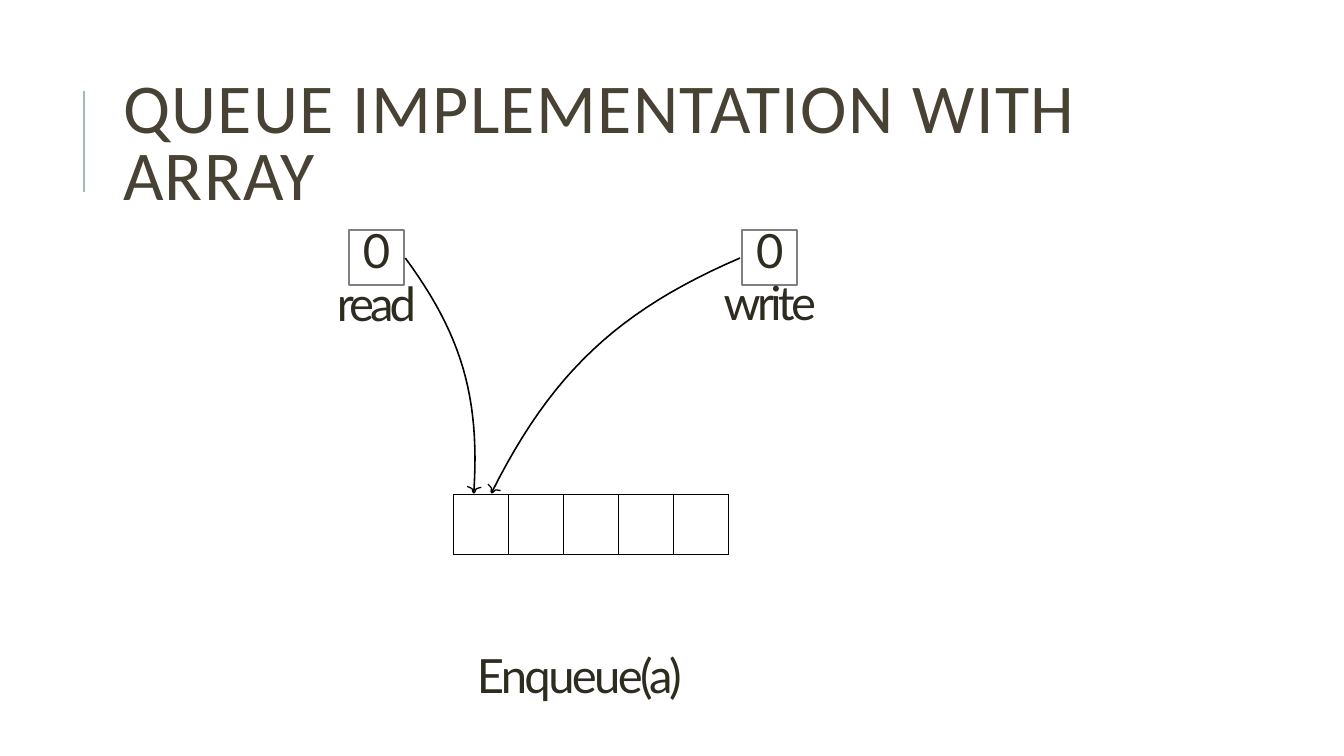
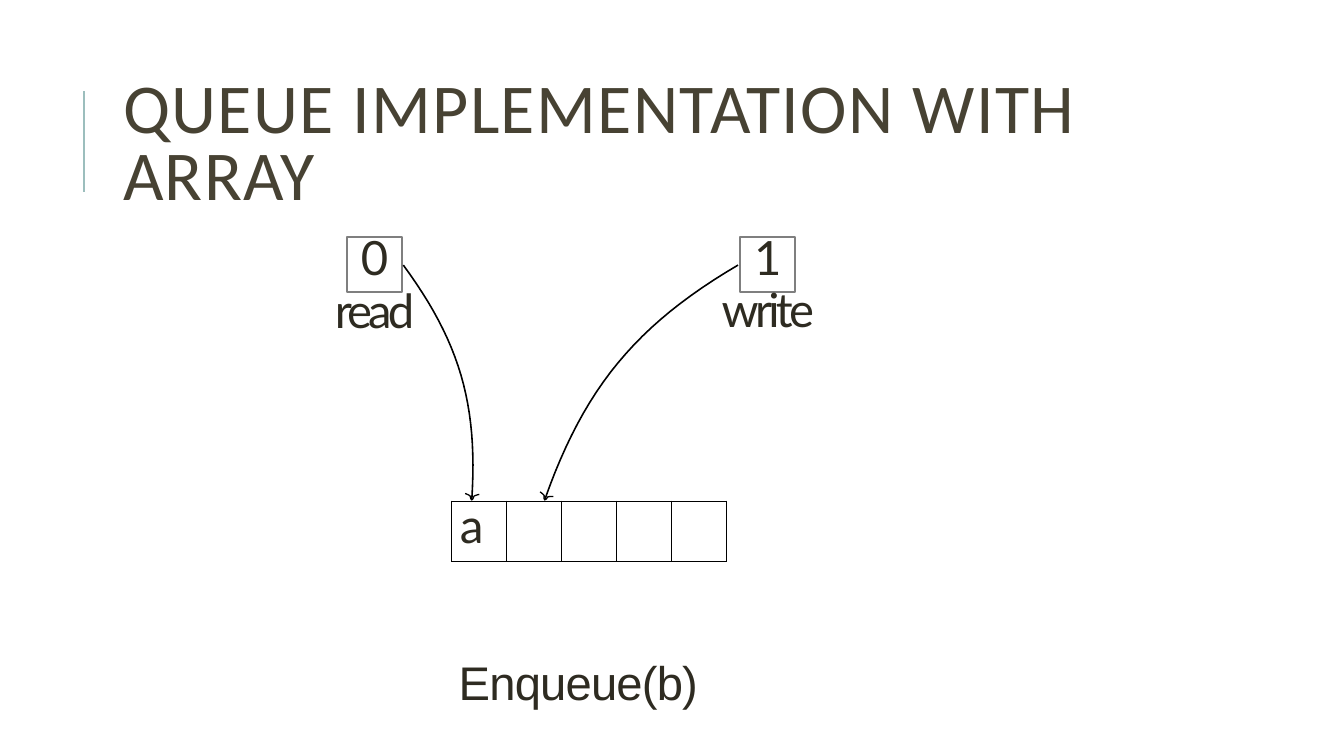
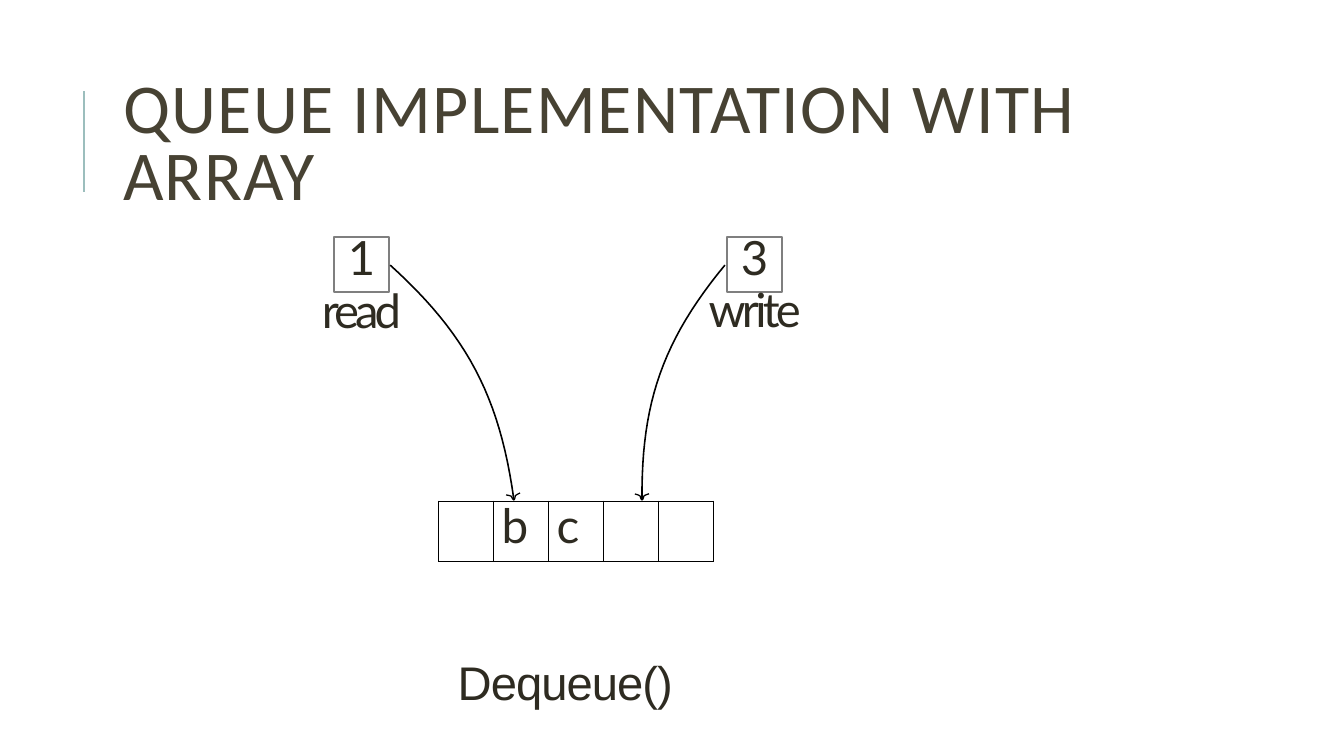
import math

import lxml.etree
import pptx
import pptx.dml.color
import pptx.enum.shapes
import pptx.enum.text
import pptx.oxml
import pptx.oxml.ns
import pptx.util

Inches = pptx.util.Inches
Pt = pptx.util.Pt

COLOURS = {
    "title": "474233",
    "text": "2E2B21",
    "accent": "9CBEBD",
    "box": "7F7F7F",
    "ink": "000000",
}
TITLE = "QUEUE IMPLEMENTATION WITH ARRAY"
BOX = 0.55
CELL_WIDTH = 0.546
CELL_COUNT = 5
BEND = math.radians(20)
CURVE_STEPS = 24
# (distance ahead of the tip, distance to the side)
ARROWHEAD = [(-0.05, 0.07), (-0.04, 0.04), (-0.03, 0.02), (0, 0.01), (0.01, 0),
             (0, -0.01), (-0.03, -0.02), (-0.04, -0.04), (-0.05, -0.07)]

# origin is the top left corner of the read box
SLIDES = [
    {"origin": (3.46, 2.28), "read": 0, "write": 0, "cells": {},
     "caption": ("Enqueue(a)", 4.7, 6.44, "Lato", 38.7, -1.9)},
    {"origin": (3.44, 2.35), "read": 0, "write": 1, "cells": {0: "a"},
     "caption": ("Enqueue(b)", 4.52, 6.53, "Arial", 37.1, -0.6)},
    {"origin": (3.31, 2.35), "read": 1, "write": 3, "cells": {1: "b", 2: "c"},
     "caption": ("Dequeue()", 4.51, 6.53, "Arial", 37.1, -0.7)},
]


def colour(name):
    return pptx.dml.color.RGBColor.from_string(COLOURS[name])


def set_attributes(target, values):
    for name, value in values.items():
        setattr(target, name, value)


def format_line(shape, colour_name, width):
    shape.line.color.rgb = colour(colour_name)
    shape.line.width = Pt(width)


def write_paragraph(paragraph, text, size, font="Lato", spacing=0, **layout):
    """Fill a paragraph; spacing is between letters, in points."""
    set_attributes(paragraph, layout)
    run = paragraph.add_run()
    run.text = text
    set_attributes(run.font, {"size": Pt(size), "name": font})
    run.font.color.rgb = colour("text")
    if spacing:
        run.font._element.set("spc", str(round(spacing * 100)))


def add_text_frame(slide, left, top, width, height, **margins):
    frame = slide.shapes.add_textbox(
        Inches(left), Inches(top), Inches(width), Inches(height)).text_frame
    values = {"word_wrap": True, "margin_left": 0, "margin_right": 0,
              "margin_top": 0, "margin_bottom": 0}
    set_attributes(frame, {**values, **margins})
    return frame


def style_layout(layout):
    """Set place and text style of the title for every slide."""
    title = layout.placeholders[0]
    set_attributes(title, {"left": Inches(1.12), "top": Inches(0.64),
                           "width": Inches(10.63), "height": Inches(1.64)})
    set_attributes(title.text_frame, {
        "word_wrap": True,
        "auto_size": pptx.enum.text.MSO_AUTO_SIZE.NONE,
        "vertical_anchor": pptx.enum.text.MSO_ANCHOR.MIDDLE})
    list_style = title.element.txBody.find(pptx.oxml.ns.qn("a:lstStyle"))
    for old_level in list(list_style):
        list_style.remove(old_level)
    list_style.append(pptx.oxml.parse_xml(
        f'<a:lvl1pPr {pptx.oxml.ns.nsdecls("a")} algn="l">'
        '<a:lnSpc><a:spcPct val="80000"/></a:lnSpc>'
        '<a:defRPr sz="5000" spc="100"><a:solidFill>'
        f'<a:srgbClr val="{COLOURS["title"]}"/></a:solidFill>'
        '<a:latin typeface="Calibri"/></a:defRPr></a:lvl1pPr>'))


def add_title_rule(slide, layout):
    """Draw the rule beside the title and move it to the layout."""
    rule = slide.shapes.add_connector(
        pptx.enum.shapes.MSO_CONNECTOR.STRAIGHT,
        Inches(0.83), Inches(1.9), Inches(0.83), Inches(0.9))
    format_line(rule, "accent", 1.5)
    lxml.etree.SubElement(rule.element.spPr, pptx.oxml.ns.qn("a:effectLst"))
    layout.shapes.element.append(rule.element)


def add_index_box(slide, left, top, value):
    box = slide.shapes.add_shape(
        pptx.enum.shapes.MSO_SHAPE.RECTANGLE,
        Inches(left), Inches(top), Inches(BOX), Inches(BOX))
    box.shadow.inherit = False
    box.fill.background()
    format_line(box, "box", 1.42)


def add_index(slide, left, top, value, label, width, line_spacing, spacing):
    """Add a box with an index and its label, centred on the box."""
    add_index_box(slide, left, top, value)
    frame = add_text_frame(slide, left + (BOX - width) / 2, top - 0.07,
                           width, 1.1, margin_top=Inches(0.03))
    layout = {"alignment": pptx.enum.text.PP_ALIGN.CENTER,
              "line_spacing": Pt(line_spacing)}
    write_paragraph(frame.paragraphs[0], str(value), 33.7, spacing=-1.7,
                    space_before=Pt(2.4), **layout)
    write_paragraph(frame.add_paragraph(), label, 33.7, spacing=spacing, **layout)


def set_borders(cell):
    properties = cell._tc.get_or_add_tcPr()
    for position, side in enumerate(("lnL", "lnR", "lnT", "lnB")):
        properties.insert(position, pptx.oxml.parse_xml(
            f'<a:{side} {pptx.oxml.ns.nsdecls("a")} w="{Pt(0.5)}"><a:solidFill>'
            f'<a:srgbClr val="{COLOURS["ink"]}"/></a:solidFill></a:{side}>'))


def add_array(slide, left, top, values):
    table = slide.shapes.add_table(
        1, CELL_COUNT, Inches(left), Inches(top),
        Inches(CELL_WIDTH * CELL_COUNT), Inches(0.6)).table
    set_attributes(table, {"first_row": False, "horz_banding": False})
    for index, cell in enumerate(table.iter_cells()):
        cell.fill.background()
        set_borders(cell)
        if index in values:
            set_attributes(cell, {"margin_left": Inches(0.08), "margin_right": 0,
                                  "margin_top": Pt(18.8), "margin_bottom": 0})
            write_paragraph(cell.text_frame.paragraphs[0], values[index], 34,
                            line_spacing=Pt(18.8))


def add_open_path(slide, points, width):
    points = [(Inches(x), Inches(y)) for x, y in points]
    builder = slide.shapes.build_freeform(*points[0])
    builder.add_line_segments(points[1:], close=False)
    path_shape = builder.convert_to_shape()
    path_shape.shadow.inherit = False
    path_shape.fill.background()
    format_line(path_shape, "ink", width)


def add_bent_arrow(slide, start, end, bend):
    """Draw a cubic curve that leaves and arrives at the angle bend to its chord."""
    chord = math.atan2(end[1] - start[1], end[0] - start[0])
    reach = 0.39 * math.dist(start, end)
    leave, arrive = chord + bend, chord - bend
    controls = (
        start,
        (start[0] + reach * math.cos(leave), start[1] + reach * math.sin(leave)),
        (end[0] - reach * math.cos(arrive), end[1] - reach * math.sin(arrive)),
        end,
    )
    curve = []
    for step in range(CURVE_STEPS + 1):
        t = step / CURVE_STEPS
        weights = [math.comb(3, k) * t ** k * (1 - t) ** (3 - k) for k in range(4)]
        curve.append([sum(weight * point[axis] for weight, point in zip(weights, controls))
                      for axis in (0, 1)])
    add_open_path(slide, curve, 1.13)
    cosine, sine = math.cos(arrive), math.sin(arrive)
    add_open_path(slide, [(end[0] + ahead * cosine - side * sine,
                           end[1] + ahead * sine + side * cosine)
                          for ahead, side in ARROWHEAD], 0.91)


def add_caption(slide, text, left, top, font, line_spacing, spacing):
    frame = add_text_frame(slide, left, top, 2.43, 0.55, margin_left=Inches(0.03))
    write_paragraph(frame.paragraphs[0], text, 33.7, font, spacing,
                    line_spacing=Pt(line_spacing))


def add_queue(slide, origin, read, write, cells, caption):
    left, top = origin
    add_index(slide, left, top, read, "read", 0.85, 37.6, -2.8)
    add_index(slide, left + 3.9, top, write, "write", 0.98, 37.1, -2.7)
    add_array(slide, left + 1.04, top + 2.62, cells)
    for start, first_target, index, bend in ((0.56, 1.24, read, -BEND),
                                             (3.88, 1.42, write, BEND)):
        target = left + first_target + index * CELL_WIDTH
        add_bent_arrow(slide, (left + start, top + 0.28), (target, top + 2.6), bend)
    add_caption(slide, *caption)


def main():
    presentation = pptx.Presentation()
    presentation.slide_width = Inches(13.33)
    presentation.slide_height = Inches(7.5)
    layout = presentation.slide_layouts.get_by_name("Title Only")
    style_layout(layout)
    for content in SLIDES:
        slide = presentation.slides.add_slide(layout)
        slide.shapes.title.text_frame.text = TITLE
        add_queue(slide, **content)
    add_title_rule(presentation.slides[0], layout)
    presentation.save("out.pptx")


if __name__ == "__main__":
    main()
